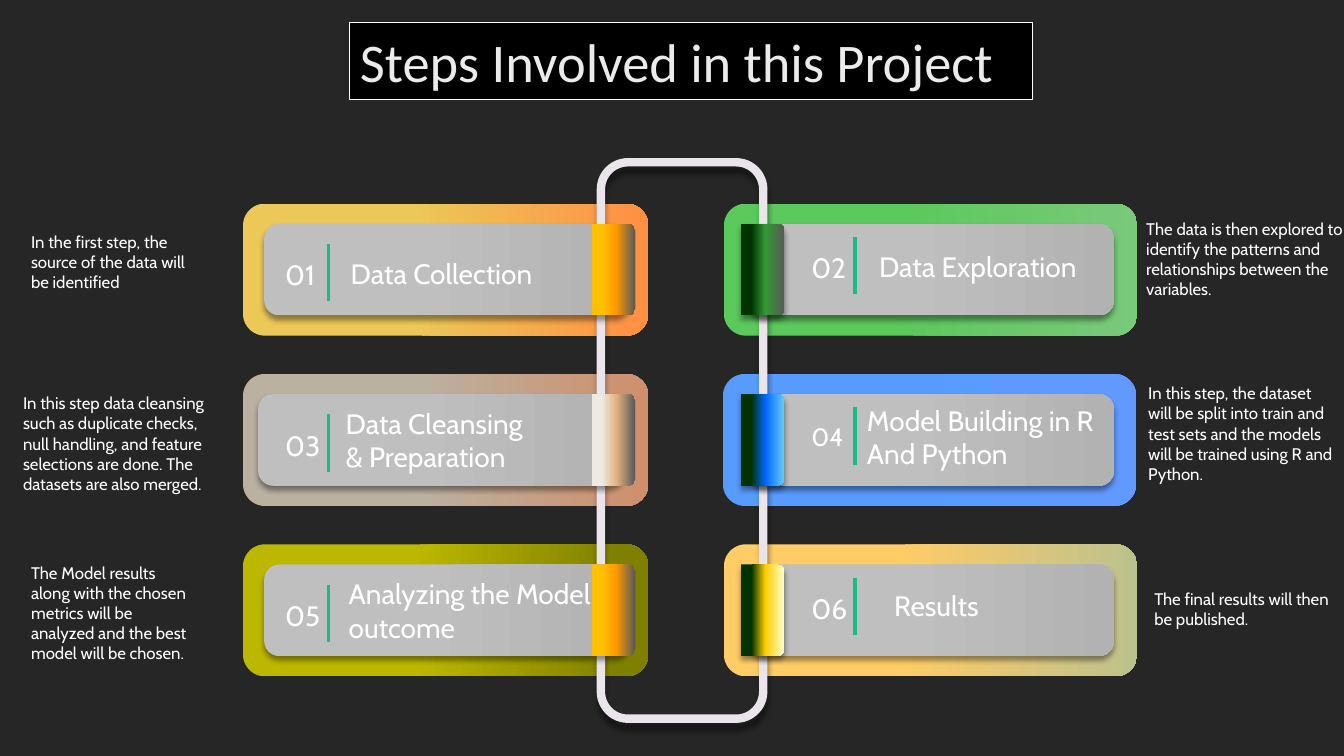
"""Build a slide showing six project steps in two columns around a frame."""
from dataclasses import dataclass

from lxml import etree
from pptx import Presentation, dml, util as u
from pptx.dml.color import RGBColor
from pptx.enum import shapes as s, text as t
from pptx.oxml import ns
from pptx.shapes.autoshape import Shape
from pptx.slide import Slide
from pptx.util import Inches

Box = tuple[float, float, float, float]
Stops = list[tuple[int, RGBColor]]

BLACK = RGBColor(0x00, 0x00, 0x00)
WHITE = RGBColor(0xFF, 0xFF, 0xFF)
BACK = RGBColor(0x26, 0x26, 0x26)
TITLE = RGBColor(0xEB, 0xEB, 0xEB)
FRAME = RGBColor(0xEA, 0xE5, 0xEB)
TEAL = RGBColor(0x13, 0xBE, 0x89)
SILVER = RGBColor(0xBF, 0xBF, 0xBF)
GREY = RGBColor(0xB2, 0xB2, 0xB2)
ASH = RGBColor(0x59, 0x59, 0x59)
GOLD = RGBColor(0xEB, 0xC8, 0x57)
CORAL = RGBColor(0xFF, 0x8F, 0x43)
GREEN = RGBColor(0x5B, 0xC9, 0x5B)
MINT = RGBColor(0x79, 0xC9, 0x7B)
TAUPE = RGBColor(0xBB, 0xB1, 0xA1)
CLAY = RGBColor(0xCF, 0x8F, 0x6B)
BLUE = RGBColor(0x57, 0x9B, 0xFF)
IRIS = RGBColor(0x61, 0x99, 0xFF)
LIME = RGBColor(0xBC, 0xB8, 0x00)
OLIVE = RGBColor(0x80, 0x80, 0x00)
PEACH = RGBColor(0xFF, 0xCC, 0x66)
SAGE = RGBColor(0xBD, 0xC1, 0x8D)
AMBER = RGBColor(0xFF, 0xC0, 0x00)
ORANGE = RGBColor(0xFF, 0x99, 0x00)
CREAM = RGBColor(0xEB, 0xEB, 0xE1)
TAN = RGBColor(0xE4, 0xB3, 0x82)
FOREST = RGBColor(0x00, 0x33, 0x00)
LEAF = RGBColor(0x33, 0x99, 0x33)
COBALT = RGBColor(0x00, 0x66, 0xFF)
SKY = RGBColor(0x66, 0xCC, 0xFF)
YELLOW = RGBColor(0xFF, 0xCC, 0x00)
LEMON = RGBColor(0xFF, 0xFF, 0xCC)

PITCH = 1.69


@dataclass(frozen=True)
class Column:
    """Places shared by the steps of one column, taken at the top row."""
    panel: float
    width: float
    bar: float
    tab: float
    number: float
    rule: float
    lift: float
    shade: bool


@dataclass(frozen=True)
class Step:
    """One step: its label, note, colours and small shifts."""
    label: str
    place: Box
    note: str
    spot: Box
    panel: Stops
    tab: Stops
    nudge: float = 0
    slide: float = 0
    size: int = 20


LEFT = Column(2.41, 4.02, 2.62, 5.63, 2.73, 3.26, 0, False)
RIGHT = Column(7.18, 4.1, 7.42, 7.11, 7.95, 8.48, 0.07, True)

STEPS = [
    Step("Data Collection", (3.38, 2.5, 2.32, 0.44),
         "In the first step, the source of the data will be identified",
         (0.21, 2.25, 1.86, 0.71),
         [(42, GOLD), (100, CORAL)], [(23, AMBER), (56, ORANGE), (100, ASH)]),
    Step("Data Exploration", (8.62, 2.43, 2.17, 0.44),
         "The data is then explored to identify the patterns and "
         "relationships between the variables.",
         (11.27, 2.12, 2.38, 0.91),
         [(42, GREEN), (100, MINT)], [(24, FOREST), (56, LEAF), (100, ASH)]),
    Step("Data Cleansing & Preparation", (3.33, 3.98, 2.17, 0.77),
         "In this step data cleansing such as duplicate checks, null handling, "
         "and feature selections are done. The datasets are also merged.",
         (0.13, 3.85, 2.15, 1.11),
         [(42, TAUPE), (100, CLAY)], [(23, CREAM), (56, TAN), (100, ASH)],
         slide=-0.06),
    Step("Model Building in R\nAnd Python", (8.5, 3.95, 2.54, 0.77),
         "In this step, the dataset will be split into train and test sets "
         "and the models will be trained using R and Python.",
         (11.29, 3.75, 2.04, 1.11),
         [(42, BLUE), (100, IRIS)], [(24, FOREST), (56, COBALT), (100, SKY)],
         nudge=-0.01, size=18),
    Step("Analyzing the Model outcome", (3.36, 5.67, 2.72, 0.77),
         "The Model results along with the chosen metrics will be analyzed "
         "and the best model will be chosen.",
         (0.21, 5.53, 1.84, 1.11),
         [(42, LIME), (93, OLIVE)], [(23, AMBER), (56, ORANGE), (100, ASH)]),
    Step("Results", (8.77, 5.79, 2.17, 0.44),
         "The final results will then be published.",
         (11.35, 5.79, 1.99, 0.5),
         [(42, PEACH), (100, SAGE)], [(24, FOREST), (56, YELLOW), (100, LEMON)]),
]


def add_shape(page: Slide, kind: s.MSO_SHAPE, box: Box, drop: float = 0) -> Shape:
    """Add a shape without a line, with a soft shadow if drop is set."""
    shape = page.shapes.add_shape(kind, *map(Inches, box))
    shape.line.fill.background()
    shape.shadow.inherit = False
    if drop:
        effects = shape.element.spPr.find(ns.qn("a:effectLst"))
        outer = etree.SubElement(
            effects, ns.qn("a:outerShdw"), blurRad=str(u.Pt(4)),
            dist=str(u.Pt(drop)), dir="5400000", algn="t", rotWithShape="0")
        color = etree.SubElement(outer, ns.qn("a:srgbClr"), val=str(BLACK))
        etree.SubElement(color, ns.qn("a:alpha"), val="40000")
    return shape


def blend(shape: Shape, stops: Stops, angle: int = 0) -> None:
    """Fill a shape with a linear gradient."""
    shape.fill.gradient()
    shape.fill.gradient_angle = angle
    group = shape.element.spPr.find(ns.qn("a:gradFill")).find(ns.qn("a:gsLst"))
    for stop in list(group):
        group.remove(stop)
    for point, color in stops:
        stop = etree.SubElement(group, ns.qn("a:gs"), pos=str(point * 1000))
        etree.SubElement(stop, ns.qn("a:srgbClr"), val=str(color))


def write(page: Slide, words: str, box: Box, size: int) -> None:
    """Add a white text box."""
    frame = page.shapes.add_textbox(*map(Inches, box)).text_frame
    frame.word_wrap = True
    frame.auto_size = t.MSO_AUTO_SIZE.SHAPE_TO_FIT_TEXT
    frame.text = words
    for line in frame.paragraphs:
        line.font.name = "Cabin"
        line.font.size = u.Pt(size)
        line.font.color.rgb = WHITE


def add_rule(page: Slide, x: float, y: float) -> None:
    """Add the upright rule beside a number."""
    rule = page.shapes.add_connector(
        s.MSO_CONNECTOR.STRAIGHT, *map(Inches, (x, y, x, y + 0.57)))
    rule.line.color.rgb = TEAL
    rule.line.width = u.Pt(2.5)
    etree.SubElement(rule.element.spPr, ns.qn("a:effectLst"))


def add_title(page: Slide) -> None:
    """Place and format the title."""
    title = page.shapes.title
    title.left, title.top, title.width, title.height = map(
        Inches, (3.47, 0.22, 6.77, 0.77))
    title.fill.solid()
    title.fill.fore_color.rgb = BLACK
    title.line.color.rgb = WHITE
    title.line.width = u.Pt(0.75)
    frame = title.text_frame
    frame.text = "Steps Involved in this Project"
    frame.auto_size = t.MSO_AUTO_SIZE.NONE
    frame.vertical_anchor = t.MSO_ANCHOR.MIDDLE
    line = frame.paragraphs[0]
    line.alignment = t.PP_ALIGN.LEFT
    line.font.name = "Calibri"
    line.font.size = u.Pt(38.9)
    line.font.color.rgb = TITLE


def add_step(page: Slide, index: int, step: Step) -> None:
    """Draw the bar, tab, number, label and note of a step."""
    col, down = (LEFT, RIGHT)[index % 2], index // 2 * PITCH
    bar = add_shape(page, s.MSO_SHAPE.ROUNDED_RECTANGLE,
                    (col.bar + step.slide, 2.22 + down, 3.63, 0.91), 3)
    blend(bar, [(43, SILVER), (100, GREY)])
    tab = add_shape(page, s.MSO_SHAPE.ROUND_2_SAME_RECTANGLE,
                    (col.tab, 2.46 + down, 0.91, 0.43), 3 if col.shade else 0)
    tab.rotation = 90
    blend(tab, step.tab, 90)
    write(page, f"{index + 1:02}",
          (col.number, 2.51 + down - col.lift, 0.6, 0.44), step.size)
    add_rule(page, col.rule, 2.42 + down - col.lift)
    write(page, step.label, step.place, 20)
    write(page, step.note, step.spot, 12)


def main() -> None:
    """Build and save the slide."""
    deck = Presentation()
    deck.slide_width, deck.slide_height = Inches(13.33), Inches(7.5)
    page = deck.slides.add_slide(deck.slide_layouts.get_by_name("Title Only"))
    page.background.fill.solid()
    page.background.fill.fore_color.rgb = BACK
    add_title(page)
    for index, step in enumerate(STEPS):
        col = (LEFT, RIGHT)[index % 2]
        panel = add_shape(page, s.MSO_SHAPE.ROUNDED_RECTANGLE,
                          (col.panel + step.nudge, 2.02 + index // 2 * PITCH,
                           col.width, 1.31))
        blend(panel, step.panel)
    frame = add_shape(page, s.MSO_SHAPE.ROUNDED_RECTANGLE,
                      (5.96, 1.61, 1.61, 5.52), 6)
    frame.fill.background()
    frame.line.color.rgb = FRAME
    frame.line.width = u.Pt(6)
    for index, step in enumerate(STEPS):
        add_step(page, index, step)
    deck.save("out.pptx")


if __name__ == "__main__":
    main()
